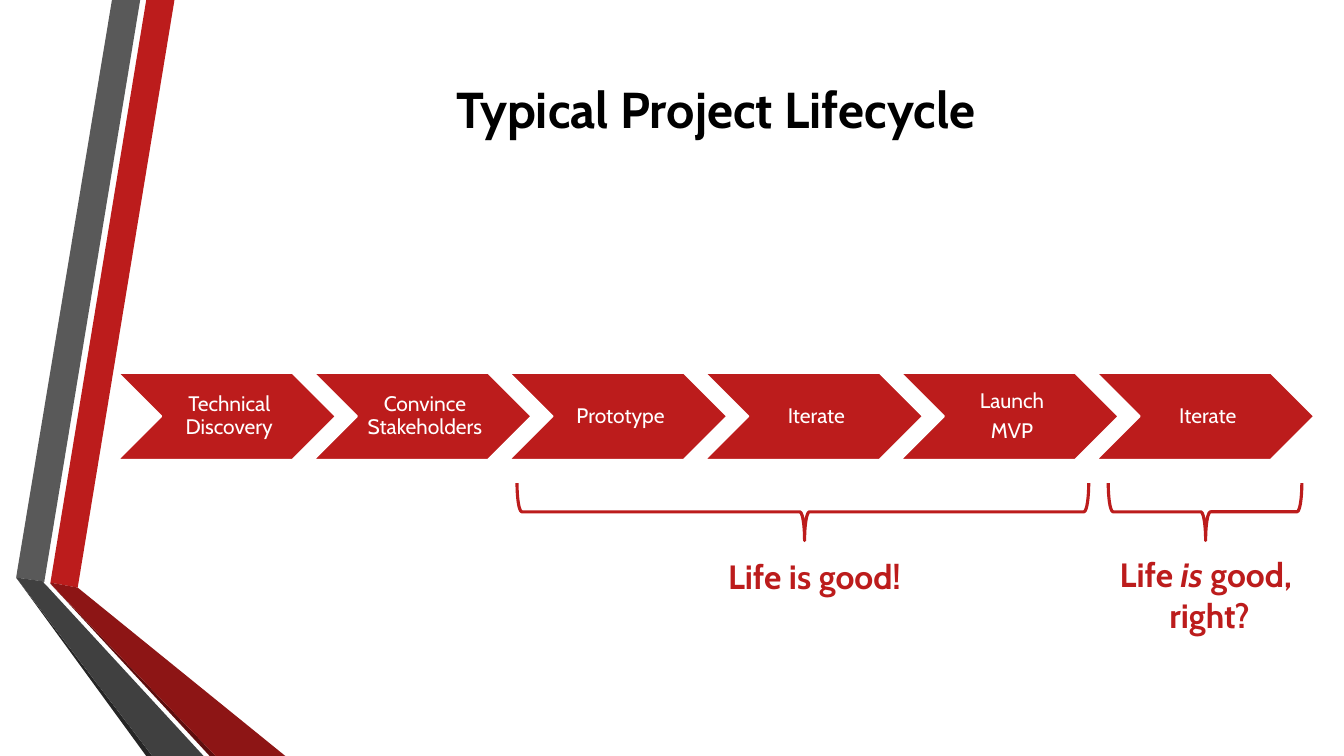
from typing import NamedTuple

from pptx import Presentation
from pptx.dml.color import RGBColor
from pptx.enum.shapes import MSO_SHAPE as Shape
from pptx.enum.text import MSO_ANCHOR as Anchor, MSO_AUTO_SIZE as AutoSize, PP_ALIGN as Align
from pptx.util import Inches, Pt

RED, WHITE, BLACK = "BC1C1C", "FFFFFF", "000000"
FONT = "Cabin"

prs = Presentation()
prs.slide_width, prs.slide_height = Inches(13.33), Inches(7.5)
s = prs.slides.add_slide(prs.slide_layouts[6])


class Box(NamedTuple):
    x: float
    y: float
    w: float
    h: float


class Ribbon(NamedTuple):
    color: str
    points: list[tuple[float, float]]


class Run(NamedTuple):
    text: str
    italic: bool = False


class Phase(NamedTuple):
    center: float
    length: float
    box: Box
    lines: list[list[Run]]


def across(percent: float) -> int:
    return round(prs.slide_width * percent / 100)


def down(percent: float) -> int:
    return round(prs.slide_height * percent / 100)


def place(box: Box) -> tuple[int, int, int, int]:
    return across(box.x), down(box.y), across(box.w), down(box.h)


def rgb(color: str) -> RGBColor:
    return RGBColor.from_string(color)


def paint(sp, fill: str | None = None, line: str | None = None, width: float = 1) -> None:
    sp.shadow.inherit = False
    if fill:
        sp.fill.solid()
        sp.fill.fore_color.rgb = rgb(fill)
    else:
        sp.fill.background()
    if line:
        sp.line.color.rgb = rgb(line)
        sp.line.width = Pt(width)
    else:
        sp.line.fill.background()


def draw_ribbon(ribbon: Ribbon) -> None:
    start, *rest = [(across(x), down(y)) for x, y in ribbon.points]
    builder = s.shapes.build_freeform(*start)
    builder.add_line_segments(rest)
    paint(builder.convert_to_shape(), ribbon.color)


def add_text(box: Box, lines: list[list[Run]], *, size: float, color: str, bold: bool = False,
             wrap: bool = True, anchor: Anchor = Anchor.MIDDLE, insets: tuple | None = None,
             spacing: float | None = None, after: float | None = None) -> None:
    tf = s.shapes.add_textbox(*place(box)).text_frame
    tf.word_wrap = wrap
    tf.auto_size = AutoSize.NONE if wrap else AutoSize.SHAPE_TO_FIT_TEXT
    tf.vertical_anchor = anchor
    if insets:
        tf.margin_left, tf.margin_top, tf.margin_right, tf.margin_bottom = map(Inches, insets)
    for i, runs in enumerate(lines):
        p = tf.add_paragraph() if i else tf.paragraphs[0]
        p.alignment = Align.CENTER
        if spacing:
            p.line_spacing = spacing
        if after:
            p.space_after = Pt(after)
        for run in runs:
            r = p.add_run()
            r.text = run.text
            r.font.name, r.font.size = FONT, Pt(size)
            r.font.bold, r.font.italic = bold, run.italic
            r.font.color.rgb = rgb(color)


def draw_step(index: int, lines: list[str]) -> None:
    box = Box(8.78 + 14.56 * index, 49.33, 16.2, 11.47)
    chevron = s.shapes.add_shape(Shape.CHEVRON, *place(box))
    paint(chevron, RED, WHITE, 1.25)
    add_text(box._replace(x=box.x + 3.25, w=9.68), [[Run(line)] for line in lines],
             size=15, color=WHITE, insets=(0.07, 0.02, 0.02, 0.02), spacing=0.9, after=5.25)


def draw_phase(phase: Phase) -> None:
    depth, middle = 4.28, 67.7
    box = Box(phase.center - depth / 2, middle - phase.length / 2, depth, phase.length)
    brace = s.shapes.add_shape(Shape.LEFT_BRACE, *place(box))
    brace.rotation = 270
    brace.adjustments[0], brace.adjustments[1] = 0.083, 0.503
    paint(brace, line=RED, width=2.25)
    add_text(phase.box, phase.lines, size=24, color=RED, bold=True, wrap=False, anchor=Anchor.TOP)


RIBBONS = [
    Ribbon(RED, [(3.75, 77.07), (5.78, 77.73), (12.98, 0), (10.88, 0)]),
    Ribbon("595959", [(10.43, 0), (8.33, 0), (1.2, 76.4), (3.3, 76.93)]),
    Ribbon("262626", [(1.2, 76.4), (10.88, 100), (11.33, 100)]),
    Ribbon("5E0E0E", [(3.75, 77.2), (15.6, 100), (16.05, 100)]),
    Ribbon("8D1515", [(3.75, 77.2), (16.05, 100), (21.23, 100), (5.78, 77.73), (3.75, 77.07)]),
    Ribbon("404040", [(15.15, 100), (3.6, 77.73), (3.23, 77.07), (3.3, 76.93),
                      (1.2, 76.4), (11.33, 100)]),
]
STEPS = [["Technical Discovery"], ["Convince Stakeholders"], ["Prototype"],
         ["Iterate"], ["Launch", "MVP"], ["Iterate"]]
PHASES = [
    Phase(59.74, 75.6, Box(53.25, 72.93, 14.7, 6.67), [[Run("Life is good!")]]),
    Phase(89.66, 25.6, Box(82.35, 72.67, 15.3, 12.13),
          [[Run("Life "), Run("is", italic=True), Run(" good, ")], [Run("right?")]]),
]

for ribbon in RIBBONS:
    draw_ribbon(ribbon)
add_text(Box(12.15, 5.87, 82.2, 16.93), [[Run("Typical Project Lifecycle")]],
         size=36, color=BLACK, bold=True)
for index, lines in enumerate(STEPS):
    draw_step(index, lines)
for phase in PHASES:
    draw_phase(phase)

prs.save("out.pptx")
